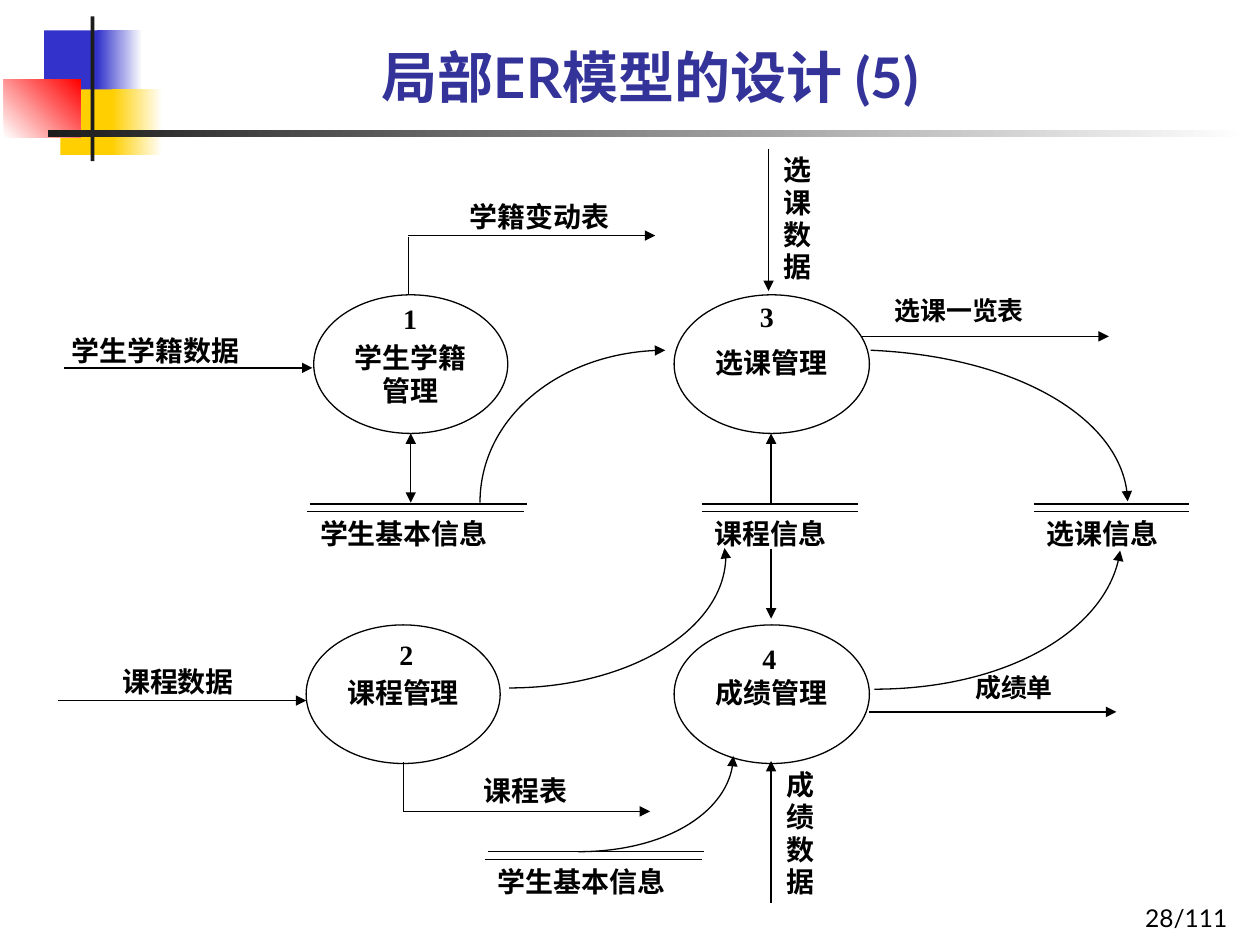
from dataclasses import dataclass
from typing import NamedTuple

from lxml.etree import SubElement
from pptx import Presentation
from pptx.dml.color import RGBColor
from pptx.enum.shapes import MSO_CONNECTOR, MSO_SHAPE
from pptx.enum.text import MSO_ANCHOR, PP_ALIGN
from pptx.oxml.ns import qn
from pptx.util import Pt

PX = 9144  # 100 px to the inch


@dataclass(frozen=True)
class Theme:
    title_font: str = "Lato"
    body_font: str = "Times New Roman"
    title_size: float = 32
    body_size: float = 16
    small_size: float = 14.8
    number_size: float = 14
    line_width: float = 0.75
    ink: str = "000000"
    paper: str = "FFFFFF"
    title: str = "333399"
    blue: str = "3333CC"
    yellow: str = "FFCF01"
    red: str = "FF0000"
    dark: str = "1C1C1C"


THEME = Theme()


class Box(NamedTuple):
    left: int
    top: int
    width: int
    height: int


class Block(NamedTuple):
    box: Box
    colors: tuple[str, ...]
    angle: int = 0


class Label(NamedTuple):
    box: Box
    text: str
    size: float = THEME.body_size
    spacing: float = 1.0


class Process(NamedTuple):
    box: Box
    name: str
    number: Label
    inset: int = 24


class Store(NamedTuple):
    left: int
    top: int
    width: int
    name: str
    shift: int = 0


class Flow(NamedTuple):
    """A straight line through two points, or cubic curves through more."""
    points: tuple[tuple[int, int], ...]
    ends: tuple[str, ...] = ("tailEnd",)


HEAD, BOTH, PLAIN = ("headEnd",), ("headEnd", "tailEnd"), ()

BLOCKS = (
    Block(Box(35, 24, 48, 52), (THEME.blue,)),
    Block(Box(77, 24, 36, 52), (THEME.blue, THEME.paper)),
    Block(Box(48, 71, 46, 52), (THEME.yellow,)),
    Block(Box(89, 71, 40, 52), (THEME.yellow, THEME.paper)),
    Block(Box(3, 63, 61, 46), (THEME.paper, THEME.red), 45),
    Block(Box(72, 13, 3, 115), (THEME.dark,)),
    Block(Box(38, 103, 951, 6), (THEME.dark, THEME.paper)),
)
PROCESSES = (
    Process(Box(249, 234, 154, 110), "学生学籍管理", Label(Box(320, 239, 24, 38), "1"), 20),
    Process(Box(243, 496, 154, 110), "课程管理", Label(Box(317, 506, 29, 38), "2")),
    Process(Box(535, 234, 155, 110), "选课管理", Label(Box(603, 238, 22, 27), "3")),
    Process(Box(535, 496, 155, 110), "成绩管理", Label(Box(605, 509, 29, 38), "4")),
)
STORES = (
    Store(244, 400, 172, "学生基本信息", 2),
    Store(557, 400, 124, "课程信息"),
    Store(821, 400, 123, "选课信息"),
    Store(385, 676, 172, "学生基本信息", 2),
)
FLOWS = (
    Flow(((324, 188), (324, 233)), PLAIN),
    Flow(((324, 187), (520, 187))),
    Flow(((51, 292), (248, 292))),
    Flow(((610, 118), (610, 231))),
    Flow(((684, 267), (880, 267))),
    Flow(((326, 344), (326, 399)), BOTH),
    Flow(((612, 344), (612, 399)), HEAD),
    Flow(((612, 436), (612, 491))),
    Flow(((46, 556), (243, 556))),
    Flow(((320, 605), (320, 644)), PLAIN),
    Flow(((320, 644), (516, 644))),
    Flow(((690, 565), (886, 565))),
    Flow(((612, 604), (612, 717)), HEAD),
    Flow(((528, 278), (447, 278), (381, 332), (381, 399)), HEAD),
    Flow(((691, 278), (806, 283), (894, 335), (895, 398))),
    Flow(((694, 547), (796, 547), (881, 499), (889, 437))),
    Flow(((459, 676), (527, 676), (582, 642), (582, 600))),
    Flow(((404, 546), (499, 546), (576, 499), (576, 441),
          (576, 439), (575, 437), (575, 435))),
)
LABELS = (
    Label(Box(373, 158, 128, 35), "学籍变动表"),
    Label(Box(57, 265, 198, 32), "学生学籍数据"),
    Label(Box(97, 527, 110, 32), "课程数据"),
    Label(Box(384, 614, 98, 30), "课程表"),
    Label(Box(710, 237, 133, 26), "选课一览表", THEME.small_size, 0.9),
    Label(Box(774, 536, 133, 26), "成绩单", THEME.small_size, 0.9),
    Label(Box(622, 123, 24, 105), "选课数据", spacing=0.96),
    Label(Box(624, 611, 24, 105), "成绩数据", spacing=0.96),
)


def emu(lengths) -> list[int]:
    return [length * PX for length in lengths]


def rgb(color: str) -> RGBColor:
    return RGBColor.from_string(color)


def write(shape, text: str, size: float = THEME.body_size, font: str = THEME.body_font,
          color: str = THEME.ink, bold: bool = True, align=PP_ALIGN.JUSTIFY,
          anchor=MSO_ANCHOR.TOP, insets=(0, 0, 0, 0), spacing: float = 1.0) -> None:
    frame = shape.text_frame
    frame.word_wrap = True
    frame.vertical_anchor = anchor
    (frame.margin_left, frame.margin_top,
     frame.margin_right, frame.margin_bottom) = emu(insets)
    paragraph = frame.paragraphs[0]
    paragraph.alignment = align
    paragraph.line_spacing = spacing
    run = paragraph.add_run()
    run.text = text
    run.font.name, run.font.size, run.font.bold = font, Pt(size), bold
    run.font.color.rgb = rgb(color)


def draw_block(slide, block: Block) -> None:
    shape = slide.shapes.add_shape(MSO_SHAPE.RECTANGLE, *emu(block.box))
    shape.shadow.inherit = False
    shape.line.fill.background()
    if len(block.colors) == 1:
        shape.fill.solid()
        shape.fill.fore_color.rgb = rgb(block.colors[0])
        return
    shape.fill.gradient()
    shape.fill.gradient_angle = block.angle
    for stop, color in zip(shape.fill.gradient_stops, block.colors):
        stop.color.rgb = rgb(color)


def draw_label(slide, label: Label) -> None:
    shape = slide.shapes.add_textbox(*emu(label.box))
    write(shape, label.text, label.size, spacing=label.spacing)


def set_outline(shape) -> None:
    shape.line.color.rgb = rgb(THEME.ink)
    shape.line.width = Pt(THEME.line_width)


def draw_process(slide, process: Process) -> None:
    shape = slide.shapes.add_shape(MSO_SHAPE.OVAL, *emu(process.box))
    shape.shadow.inherit = False
    shape.fill.solid()
    shape.fill.fore_color.rgb = rgb(THEME.paper)
    set_outline(shape)
    write(shape, process.name, align=PP_ALIGN.CENTER, insets=(0, process.inset, 0, 0))
    draw_label(slide, process.number)


def add_curve(slide, points):
    """Outline the points, then turn each three line segments into one cubic."""
    builder = slide.shapes.build_freeform(*points[0], scale=PX)
    builder.add_line_segments(points[1:], close=False)
    shape = builder.convert_to_shape()
    shape.shadow.inherit = False
    shape.fill.background()
    outline = next(shape.element.iter(qn("a:path")))
    for index, segment in enumerate(outline.findall(qn("a:lnTo"))):
        if index % 3 == 0:
            cubic = SubElement(outline, qn("a:cubicBezTo"))
        cubic.append(segment[0])
        outline.remove(segment)
    return shape


def draw_flow(slide, flow: Flow) -> None:
    if len(flow.points) == 2:
        start, end = flow.points
        shape = slide.shapes.add_connector(MSO_CONNECTOR.STRAIGHT, *emu(start + end))
        SubElement(shape.element.spPr, qn("a:effectLst"))
    else:
        shape = add_curve(slide, flow.points)
    set_outline(shape)
    outline = shape.element.spPr.find(qn("a:ln"))
    for end_name in flow.ends:
        SubElement(outline, qn(f"a:{end_name}"), type="triangle")


def draw_store(slide, store: Store) -> None:
    for left, top in ((store.left + store.shift, store.top), (store.left, store.top + 6)):
        draw_flow(slide, Flow(((left, top), (left + store.width, top)), PLAIN))
    draw_label(slide, Label(Box(store.left + 10, store.top + 10, store.width, 30), store.name))


def main() -> None:
    presentation = Presentation()
    presentation.slide_width, presentation.slide_height = emu((1000, 750))
    slide = presentation.slides.add_slide(presentation.slide_layouts[6])
    for draw, items in ((draw_block, BLOCKS), (draw_process, PROCESSES),
                        (draw_store, STORES), (draw_flow, FLOWS), (draw_label, LABELS)):
        for item in items:
            draw(slide, item)
    write(slide.shapes.add_textbox(*emu(Box(90, 5, 852, 87))), "局部ER模型的设计 (5)",
          THEME.title_size, THEME.title_font, THEME.title, align=PP_ALIGN.CENTER,
          anchor=MSO_ANCHOR.BOTTOM, insets=(10, 5, 10, 5))
    write(slide.shapes.add_textbox(*emu(Box(776, 695, 208, 50))), "28/111",
          THEME.number_size, THEME.title_font, bold=False, align=PP_ALIGN.RIGHT,
          anchor=MSO_ANCHOR.BOTTOM, insets=(10, 5, 10, 5))
    presentation.save("out.pptx")


if __name__ == "__main__":
    main()
